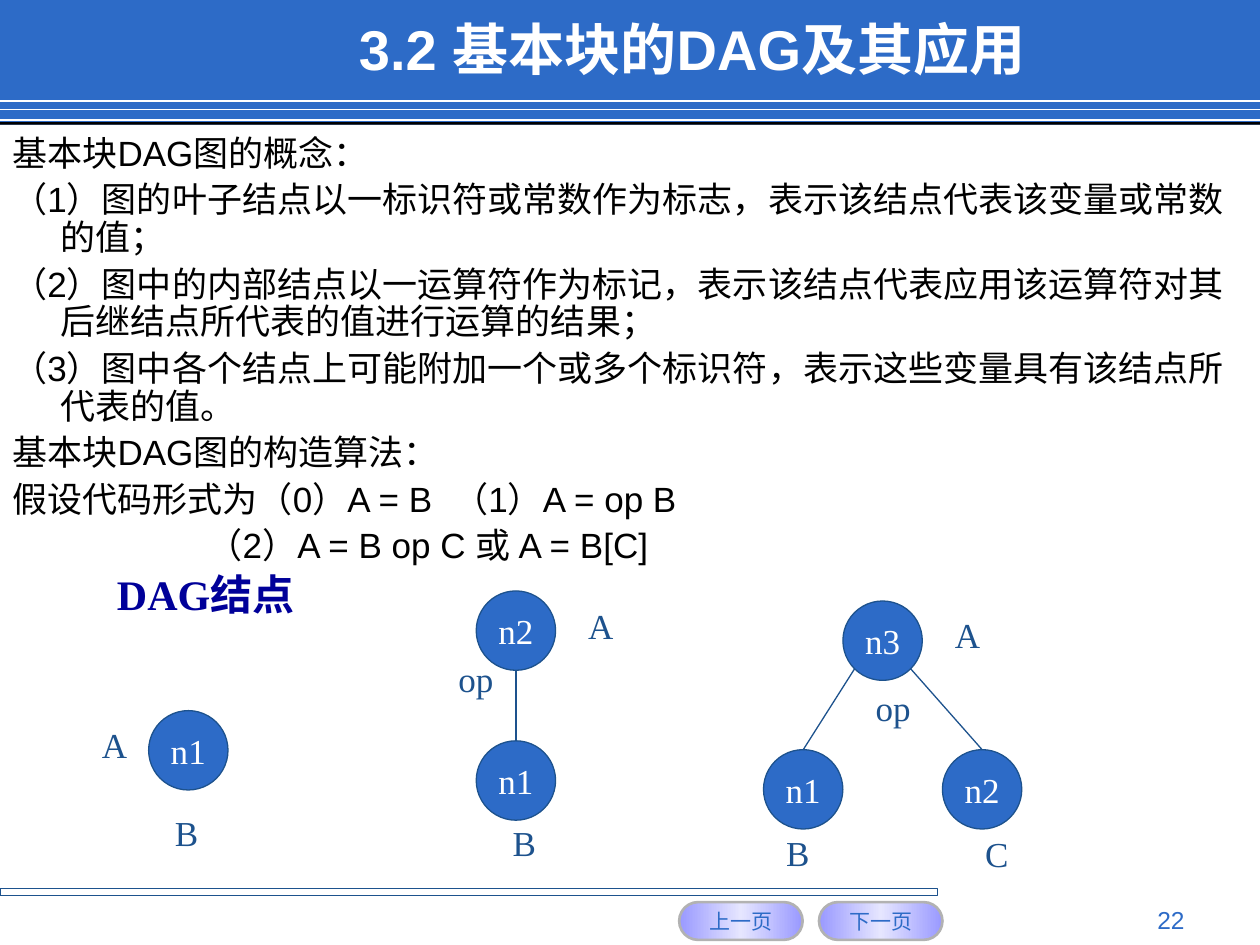
from copy import deepcopy
from dataclasses import dataclass

from lxml import etree
from pptx import Presentation
from pptx.dml.color import RGBColor
from pptx.enum.shapes import MSO_CONNECTOR, MSO_SHAPE
from pptx.enum.text import MSO_ANCHOR, PP_ALIGN
from pptx.oxml.ns import qn
from pptx.util import Inches, Pt

RECTANGLE, ROUNDED, OVAL = MSO_SHAPE.RECTANGLE, MSO_SHAPE.ROUNDED_RECTANGLE, MSO_SHAPE.OVAL
STRAIGHT = MSO_CONNECTOR.STRAIGHT
TOP, MIDDLE = MSO_ANCHOR.TOP, MSO_ANCHOR.MIDDLE
LEFT, CENTER, RIGHT = PP_ALIGN.LEFT, PP_ALIGN.CENTER, PP_ALIGN.RIGHT
COLUMNS, ROWS = 100, 75
CELL = Inches(0.1)
NODE_SIZE = 6.3


@dataclass(frozen=True)
class Theme:
    """Colours, fonts and type sizes of the deck."""
    blue: str = "2D6BC7"
    outline: str = "1D528D"
    navy: str = "000099"
    white: str = "FFFFFF"
    black: str = "000000"
    silver: str = "B2B2B2"
    button: tuple = ("9999FF", "E6E6FF", "9999FF")
    sans: str = "Arial"
    serif: str = "Times New Roman"
    title: int = 32
    heading: int = 24
    body: int = 20
    number: int = 14
    small: int = 12


@dataclass(frozen=True)
class Box:
    """An area measured in grid columns and rows."""
    left: float
    top: float
    width: float
    height: float

    def inner(self, left, top, width, height):
        """Return an area placed relative to this one."""
        return Box(self.left + left, self.top + top, width, height)

    def point(self, across, down):
        """Return the point at the given shares of this area."""
        return self.left + self.width * across, self.top + self.height * down

    def lengths(self):
        """Return the four lengths in slide units."""
        return [round(value * CELL) for value in (self.left, self.top, self.width, self.height)]


THEME = Theme()


def add_span(para, text, size, color, font=THEME.sans, bold=False):
    """Add one styled run to a paragraph."""
    span = para.add_run()
    span.text = text
    span.font.size, span.font.name, span.font.bold = Pt(size), font, bold
    span.font.color.rgb = RGBColor.from_string(color)


def add_text(page, box, text, size, color, font=THEME.sans, bold=False,
             align=LEFT, anchor=TOP, wrap=False):
    """Add a text box with a single line."""
    frame = page.shapes.add_textbox(*box.lengths()).text_frame
    frame.word_wrap, frame.vertical_anchor = wrap, anchor
    frame.paragraphs[0].alignment = align
    add_span(frame.paragraphs[0], text, size, color, font, bold)


def add_block(page, kind, box, fill=None, line=None, weight=0.75):
    """Add a preset shape without shadow."""
    shape = page.shapes.add_shape(kind, *box.lengths())
    shape.shadow.inherit = False
    if fill:
        shape.fill.solid()
        shape.fill.fore_color.rgb = RGBColor.from_string(fill)
    else:
        shape.fill.background()
    if line:
        shape.line.color.rgb = RGBColor.from_string(line)
        shape.line.width = Pt(weight)
    else:
        shape.line.fill.background()
    return shape


def set_caption(shape, text, size, color, font):
    """Centre one line of text inside a shape."""
    frame = shape.text_frame
    frame.word_wrap, frame.vertical_anchor = False, MIDDLE
    frame.paragraphs[0].alignment = CENTER
    add_span(frame.paragraphs[0], text, size, color, font)


def add_line(page, start, end, color, weight):
    """Add a straight connector between two grid points."""
    ends = [round(value * CELL) for value in (*start, *end)]
    line = page.shapes.add_connector(STRAIGHT, *ends)
    line.line.color.rgb = RGBColor.from_string(color)
    line.line.width = Pt(weight)
    etree.SubElement(line._element.spPr, qn("a:effectLst"))


def draw_header(page, box):
    """Draw the title band with its rules."""
    add_block(page, RECTANGLE, box, THEME.blue)
    for row in (8, 8.7, 9.5):
        add_line(page, (box.left, row), (box.left + box.width, row), THEME.white, 1)
    add_block(page, RECTANGLE, box.inner(0, 9.7, box.width, 0.2), THEME.black)
    add_text(page, box.inner(27.5, 0.9, 69.2, 5.8), "3.2 基本块的DAG及其应用",
             THEME.title, THEME.white, bold=True, anchor=MIDDLE, wrap=True)


def draw_button(page, box, text):
    """Draw a navigation pill with a mirrored gradient."""
    pill = add_block(page, ROUNDED, box, line=THEME.silver, weight=1.5)
    pill.adjustments[0] = 0.5
    pill.fill.gradient()
    pill.fill.gradient_angle = 0
    stops = pill._element.spPr.find(".//" + qn("a:gsLst"))
    stops.insert(1, deepcopy(stops[0]))
    for index, (stop, color) in enumerate(zip(pill.fill.gradient_stops, THEME.button)):
        stop.position = index / 2
        stop.color.rgb = RGBColor.from_string(color)
    set_caption(pill, text, THEME.small, THEME.blue, THEME.sans)


def draw_footer(page, box):
    """Draw the bottom rule, the buttons and the page number."""
    add_block(page, RECTANGLE, box.inner(0, 0, 74.4, 0.6), line=THEME.outline)
    for index, text in enumerate(("上一页", "下一页")):
        draw_button(page, box.inner(53.9 + 11.1 * index, 1.1, 9.8, 3), text)
    add_text(page, box.inner(71.7, 0.8, 23.3, 2.7), "22", THEME.number, THEME.blue,
             align=RIGHT, wrap=True)


def draw_body(page, box):
    """Write the definition and the code forms with hanging indents."""
    frame = page.shapes.add_textbox(*box.lengths()).text_frame
    frame.word_wrap = True
    lines = (
        ("基本块DAG图的概念：", 0.38, -0.38),
        ("（1）图的叶子结点以一标识符或常数作为标志，表示该结点代表该变量或常数的值；", 0.38, -0.38),
        ("（2）图中的内部结点以一运算符作为标记，表示该结点代表应用该运算符对其后继结点所代表的值进行运算的结果；", 0.38, -0.38),
        ("（3）图中各个结点上可能附加一个或多个标识符，表示这些变量具有该结点所代表的值。", 0.38, -0.38),
        ("基本块DAG图的构造算法：", 0.38, -0.38),
        ("假设代码形式为（0）A = B\t（1）A = op B", 0, 0),
        ("（2）A = B op C 或 A = B[C]", 1.55, 0),
    )
    for index, (text, margin, indent) in enumerate(lines):
        para = frame.add_paragraph() if index else frame.paragraphs[0]
        para.line_spacing = 0.9
        para.space_before = Pt(5 if index else 0)
        layout = para._p.get_or_add_pPr()
        layout.set("marL", str(Inches(margin)))
        layout.set("indent", str(Inches(indent)))
        if "\t" in text:
            tabs = etree.SubElement(layout, qn("a:tabLst"))
            etree.SubElement(tabs, qn("a:tab"), pos=str(Inches(5.99)), algn="l")
        add_span(para, text, THEME.body, THEME.black)


def draw_graph(page, box, nodes, labels, edges=()):
    """Draw a graph of round nodes, outer labels and edges."""
    places = {name: box.inner(*spot, NODE_SIZE, NODE_SIZE) for name, spot in nodes.items()}
    for parent, across, down, child in edges:
        add_line(page, places[parent].point(across, down), places[child].point(0.5, 0),
                 THEME.outline, 0.75)
    for name, place in places.items():
        node = add_block(page, OVAL, place, THEME.blue, THEME.outline)
        set_caption(node, name, THEME.body, THEME.white, THEME.serif)
    for text, left, top in labels:
        add_text(page, box.inner(left, top, 3 + 0.9 * len(text), 4.4), text,
                 THEME.body, THEME.outline, THEME.serif)


def draw_diagrams(page, box):
    """Draw the heading and the three node graphs."""
    add_text(page, box.inner(8.3, 0, 16.8, 5), "DAG结点", THEME.heading, THEME.navy,
             THEME.serif, bold=True)
    draw_graph(page, box.inner(7.1, 11.8, 11, 12), {"n1": (4.7, 0)},
               (("A", 0, 0.5), ("B", 5.8, 7.5)))
    draw_graph(page, box.inner(35.4, 2.3, 15, 23), {"n2": (2.4, 0), "n1": (2.4, 11.9)},
               (("A", 10.3, 0.6), ("op", 0, 4.8), ("B", 4.3, 17.8)),
               (("n2", 0.5, 1, "n1"),))
    draw_graph(page, box.inner(60.6, 3.1, 21, 23),
               {"n3": (6.3, 0), "n1": (0, 11.8), "n2": (14.2, 11.8)},
               (("A", 14.2, 0.5), ("op", 7.9, 6.3), ("B", 0.8, 17.8), ("C", 16.6, 17.9)),
               (("n3", 0.15, 0.85, "n1"), ("n3", 0.85, 0.85, "n2")))


def main():
    """Build the one-page deck."""
    deck = Presentation()
    deck.slide_width, deck.slide_height = COLUMNS * CELL, ROWS * CELL
    page = deck.slides.add_slide(deck.slide_layouts[6])
    draw_header(page, Box(0, 0, COLUMNS, 9.9))
    draw_footer(page, Box(0, 70.5, COLUMNS, 4.5))
    draw_body(page, Box(0, 10.3, COLUMNS, 59.8))
    draw_diagrams(page, Box(0, 44.6, COLUMNS, 25.9))
    deck.save("out.pptx")


if __name__ == "__main__":
    main()
